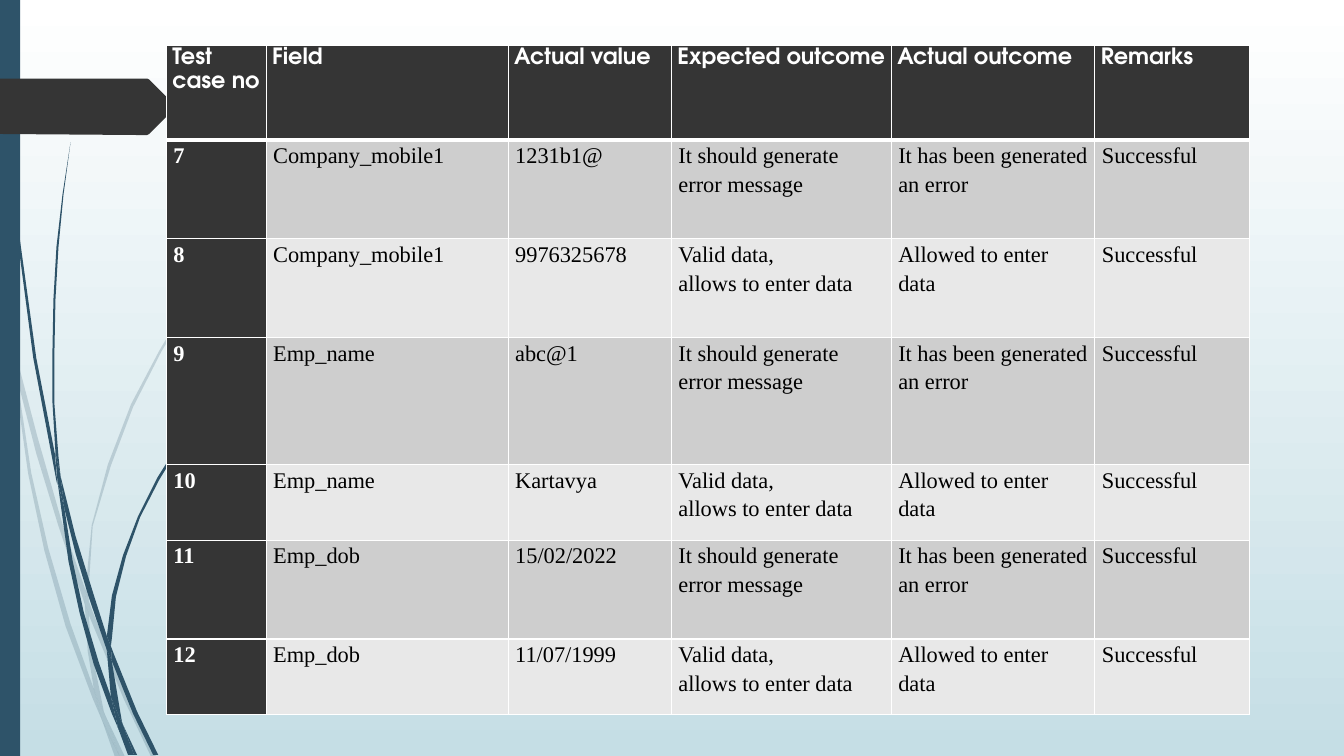
from lxml import etree
from pptx import Presentation
from pptx import util as u
from pptx.dml.color import RGBColor
from pptx.enum import shapes
from pptx.oxml import ns

# The grid has 100 columns and rows to the inch.
CELL = u.Inches(0.01)
WIDTH, HEIGHT = 1333, 750

BLUE, DARK, WHITE, BLACK = "2E5369", "353535", "FFFFFF", "000000"
BANDS = ["CECECE", "E8E8E8"]

# Outlines of the grass blades, as x,y grid points.
PALE_BLADES = [
    "11,350 9,322 0,282 0,299 10,344",
    "58,522 84,599 85,586 62,520 37,433 14,345 17,376 36,450",
    "92,607 88,596 88,610 123,694 150,751 155,751 127,692",
    "119,751 124,751 105,711",
    "93,683 70,619 48,544 31,469 17,376 11,350 28,470 44,546 65,621 92,693 101,714 99,707",
    "84,599 87,646 93,683 96,692 105,711 103,706 91,646 88,610 88,608",
    "88,584 92,522 110,462 132,404 160,349 192,296 229,245 268,198 290,175 312,154 312,153 "
    "289,175 268,197 228,244 190,294 158,348 130,401 107,461 91,521 85,584 85,586 88,596",
    "101,714 114,751 119,751",
    "88,608 88,610 88,596 85,586 84,599",
    "96,692 93,683 99,707 101,714 119,751 105,711",
]
BLUE_BLADES = [
    "7,110 17,233 33,355 56,477 57,481 55,457 55,453 36,355 19,232 8,109 5,48 4,0 3,0 4,48",
    "88,592 106,645 106,633 106,631 93,590 75,532 60,472 64,505 75,549",
    "113,649 110,641 111,656 132,708 152,749 157,749 136,706",
    "110,691 98,657 83,607 72,556 64,505 57,477 68,557 79,608 93,659 111,708 117,722 116,717",
    "60,472 58,453 54,401 54,349 55,297 58,245 63,193 70,141 62,193 56,245 53,297 52,349 "
    "52,399 55,449",
    "133,749 136,749 122,719",
    "57,477 64,505 60,472 55,449 55,453",
    "111,633 115,592 125,552 139,513 158,476 180,440 205,406 231,374 245,359 261,344 260,344 "
    "245,358 231,373 204,405 178,439 156,474 137,512 122,551 111,591 106,631 110,641",
    "117,722 127,749 131,749",
    "106,645 110,691 116,706 122,719 121,716 111,656 109,651",
    "106,645 109,651 111,656 110,641 106,631 106,633",
    "116,706 110,691 116,717 117,722 130,749 133,749 122,719",
]
PAGE_TAG = "173,108 148,133 146,134 136,134 0,133 0,78 146,78 148,79 173,104 174,106"

COLUMN_WIDTHS = [99, 240, 162, 218, 202, 153]
ROW_HEIGHTS = [94, 98, 98, 126, 75, 98, 75]
HEADINGS = ["Test case no", "Field", "Actual value", "Expected outcome", "Actual outcome", "Remarks"]
ENTRIES = [
    ("7", "Company_mobile1", "1231b1@"),
    ("8", "Company_mobile1", "9976325678"),
    ("9", "Emp_name", "abc@1"),
    ("10", "Emp_name", "Kartavya"),
    ("11", "Emp_dob", "15/02/2022"),
    ("12", "Emp_dob", "11/07/1999"),
]
# Invalid and valid entries take turns.
OUTCOMES = [
    ("It should generate error message", "It has been generated an error", "Successful"),
    ("Valid data,\nallows to enter data", "Allowed to enter data", "Successful"),
]


def colour(hex_code):
    return RGBColor.from_string(hex_code)


def assign(target, values):
    for name, value in values.items():
        setattr(target, name, value)


class TestCaseSlide:
    """Holds the slide and the text styles of its table."""

    heading_font = {"name": "TeX Gyre Adventor", "size": u.Pt(16), "bold": True}
    number_font = {"name": "Times New Roman", "size": u.Pt(16), "bold": True}
    entry_font = {**number_font, "bold": False}

    def __init__(self, deck):
        self.slide = deck.slides.add_slide(deck.slide_layouts[6])

    def background(self, top, bottom):
        fill = self.slide.background.fill
        fill.gradient()
        fill.gradient_angle = 270
        for stop, position, shade in zip(fill.gradient_stops, (0, 1), (top, bottom)):
            stop.position = position
            stop.color.rgb = colour(shade)

    def paint(self, shape, shade, opacity=100):
        shape.shadow.inherit = False
        shape.fill.solid()
        shape.fill.fore_color.rgb = colour(shade)
        shape.line.fill.background()
        if opacity < 100:
            tint = shape.fill._xPr.find(".//" + ns.qn("a:srgbClr"))
            etree.SubElement(tint, ns.qn("a:alpha"), val=str(opacity * 1000))

    def outline(self, points, shade, opacity=100):
        start, *rest = [tuple(map(int, point.split(","))) for point in points.split()]
        builder = self.slide.shapes.build_freeform(*start, scale=CELL)
        builder.add_line_segments(rest, close=True)
        self.paint(builder.convert_to_shape(), shade, opacity)

    def bar(self, left, top, width, height, shade):
        box = [CELL * length for length in (left, top, width, height)]
        self.paint(self.slide.shapes.add_shape(shapes.MSO_SHAPE.RECTANGLE, *box), shade)

    def borders(self, cell, top, bottom):
        """Draws white cell borders; top and bottom are widths in points."""
        properties = cell._tc.get_or_add_tcPr()
        for side, points in (("L", 1), ("R", 1), ("T", top), ("B", bottom)):
            line = etree.SubElement(properties, ns.qn(f"a:ln{side}"), w=str(u.Pt(points)))
            fill = etree.SubElement(line, ns.qn("a:solidFill"))
            etree.SubElement(fill, ns.qn("a:srgbClr"), val=WHITE)

    def cell(self, cell, wording, row, column):
        if row == 0:
            font, ink, shade, inset = self.heading_font, WHITE, DARK, 6
        elif column == 0:
            font, ink, shade, inset = self.number_font, WHITE, DARK, 7
        else:
            font, ink, shade, inset = self.entry_font, BLACK, BANDS[(row - 1) % 2], 7
        self.borders(cell, top=3 if row == 1 else 1, bottom=3 if row == 0 else 1)
        cell.fill.solid()
        cell.fill.fore_color.rgb = colour(shade)
        assign(cell, {"margin_left": CELL * inset, "margin_right": CELL * inset,
                      "margin_top": 0, "margin_bottom": 0})
        cell.text_frame.text = wording
        for paragraph in cell.text_frame.paragraphs:
            paragraph.line_spacing = 1.15
            for run in paragraph.runs:
                assign(run.font, font)
                run.font.color.rgb = colour(ink)

    def table(self, left, top, widths, heights, rows):
        box = [CELL * length for length in (left, top, sum(widths), sum(heights))]
        table = self.slide.shapes.add_table(len(heights), len(widths), *box).table
        assign(table, {"first_row": False, "horz_banding": False})
        for column, width in zip(table.columns, widths):
            column.width = CELL * width
        for row, height in zip(table.rows, heights):
            row.height = CELL * height
        for r, row in enumerate(rows):
            for c, wording in enumerate(row):
                self.cell(table.cell(r, c), wording, r, c)


def main():
    deck = Presentation()
    assign(deck, {"slide_width": CELL * WIDTH, "slide_height": CELL * HEIGHT})
    page = TestCaseSlide(deck)
    page.background(WHITE, "C5DEE5")
    for blade in PALE_BLADES:
        page.outline(blade, BLUE, opacity=20)
    for blade in BLUE_BLADES:
        page.outline(blade, BLUE)
    page.bar(0, 0, 20, HEIGHT, BLUE)
    page.outline(PAGE_TAG, DARK)
    cases = [entry + OUTCOMES[i % 2] for i, entry in enumerate(ENTRIES)]
    page.table(165, 45, COLUMN_WIDTHS, ROW_HEIGHTS, [HEADINGS, *cases])
    deck.save("out.pptx")


if __name__ == "__main__":
    main()
